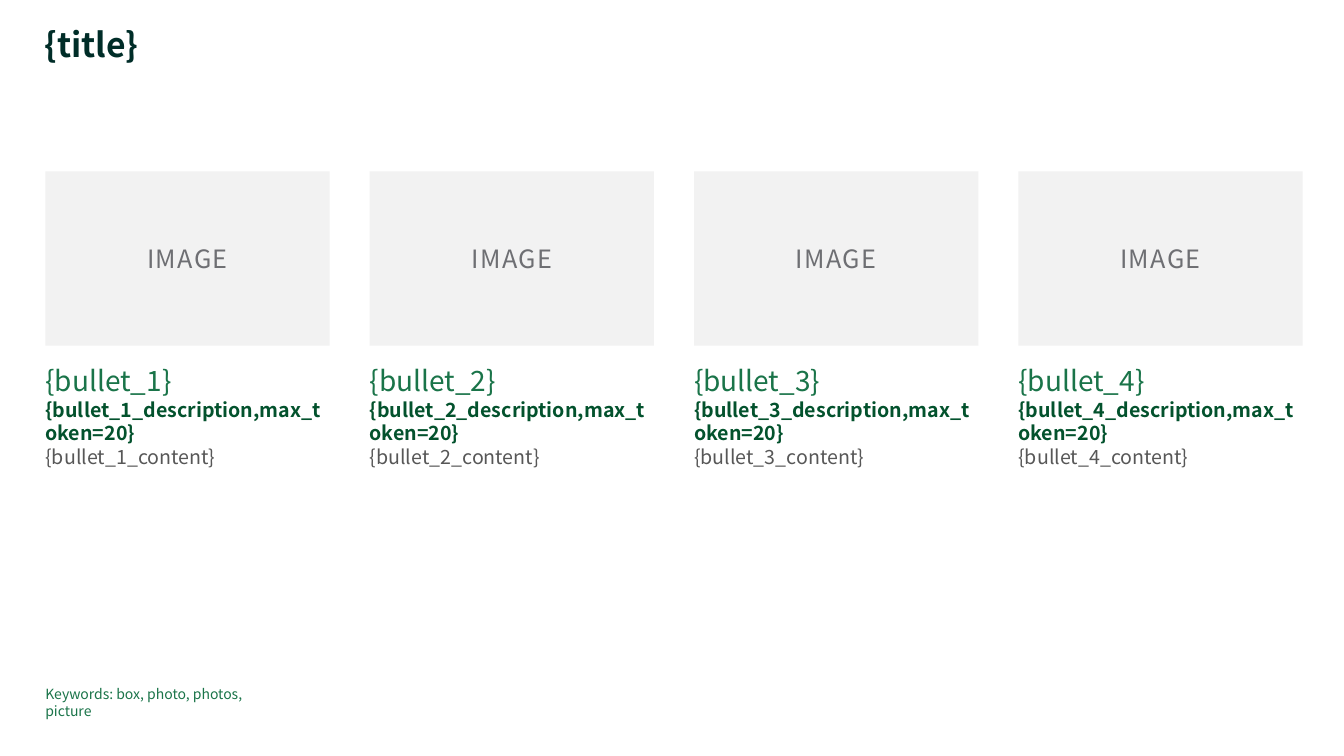
from pptx import Presentation
from pptx.dml.color import RGBColor
from pptx.enum import shapes, text
from pptx.util import Inches, Pt

FONT = "Noto Sans CJK JP"
LEFT, COLUMN, PITCH = 0.45, 2.82, 9.65 / 3
IMAGE_TOP, IMAGE_HEIGHT = 1.7, 1.73
HEADING_TOP, CONTENT_TOP = 3.61, 4.41


def color(value):
    return RGBColor.from_string(value)


def write(box, lines, **frame_format):
    frame = box.text_frame
    settings = dict(word_wrap=True, margin_left=0, margin_top=0,
                    margin_right=0, margin_bottom=0,
                    vertical_anchor=text.MSO_ANCHOR.TOP,
                    auto_size=text.MSO_AUTO_SIZE.SHAPE_TO_FIT_TEXT)
    for name, value in {**settings, **frame_format}.items():
        setattr(frame, name, value)
    for index, (words, size, ink, bold) in enumerate(lines):
        para = frame.add_paragraph() if index else frame.paragraphs[0]
        para.alignment = text.PP_ALIGN.LEFT
        span = para.add_run()
        span.text = words
        for name, value in dict(name=FONT, size=Pt(size), bold=bold).items():
            setattr(span.font, name, value)
        span.font.color.rgb = color(ink)
    return frame.paragraphs[0]


deck = Presentation()
deck.slide_width, deck.slide_height = Inches(13.33), Inches(7.5)
page = deck.slides.add_slide(deck.slide_layouts[5])

title = page.shapes.title
for name, value in dict(left=0.44, top=0.28, width=11.03, height=0.37).items():
    setattr(title, name, Inches(value))
write(title, [("{title}", 24, "002D28", True)]).line_spacing = 0.9

for column in range(4):
    left = Inches(LEFT + column * PITCH)
    width = Inches(COLUMN)
    bullet = f"bullet_{column + 1}"

    image = page.shapes.add_shape(shapes.MSO_SHAPE.RECTANGLE, left,
                                  Inches(IMAGE_TOP), width, Inches(IMAGE_HEIGHT))
    image.shadow.inherit = False
    image.fill.solid()
    image.fill.fore_color.rgb = color("F2F2F2")
    image.line.fill.background()
    para = write(image, [("IMAGE", 18, "6E6F73", False)],
                 vertical_anchor=text.MSO_ANCHOR.MIDDLE,
                 auto_size=text.MSO_AUTO_SIZE.NONE)
    para.alignment = text.PP_ALIGN.CENTER
    para.runs[0].font._element.set("spc", "100")

    heading = page.shapes.add_textbox(left, Inches(HEADING_TOP), width, Inches(0.81))
    write(heading, [(f"{{{bullet}}}", 20, "1A7449", False),
                    (f"{{{bullet}_description,max_token=20}}", 14, "03522D", True)])

    content = page.shapes.add_textbox(left, Inches(CONTENT_TOP), width, Inches(0.24))
    write(content, [(f"{{{bullet}_content}}", 14, "575757", False)])

keywords = page.shapes.add_textbox(Inches(LEFT), Inches(6.8), Inches(2.33), Inches(0.17))
write(keywords, [("Keywords: box, photo, photos, picture", 10, "1A7449", False)])

deck.save("out.pptx")
